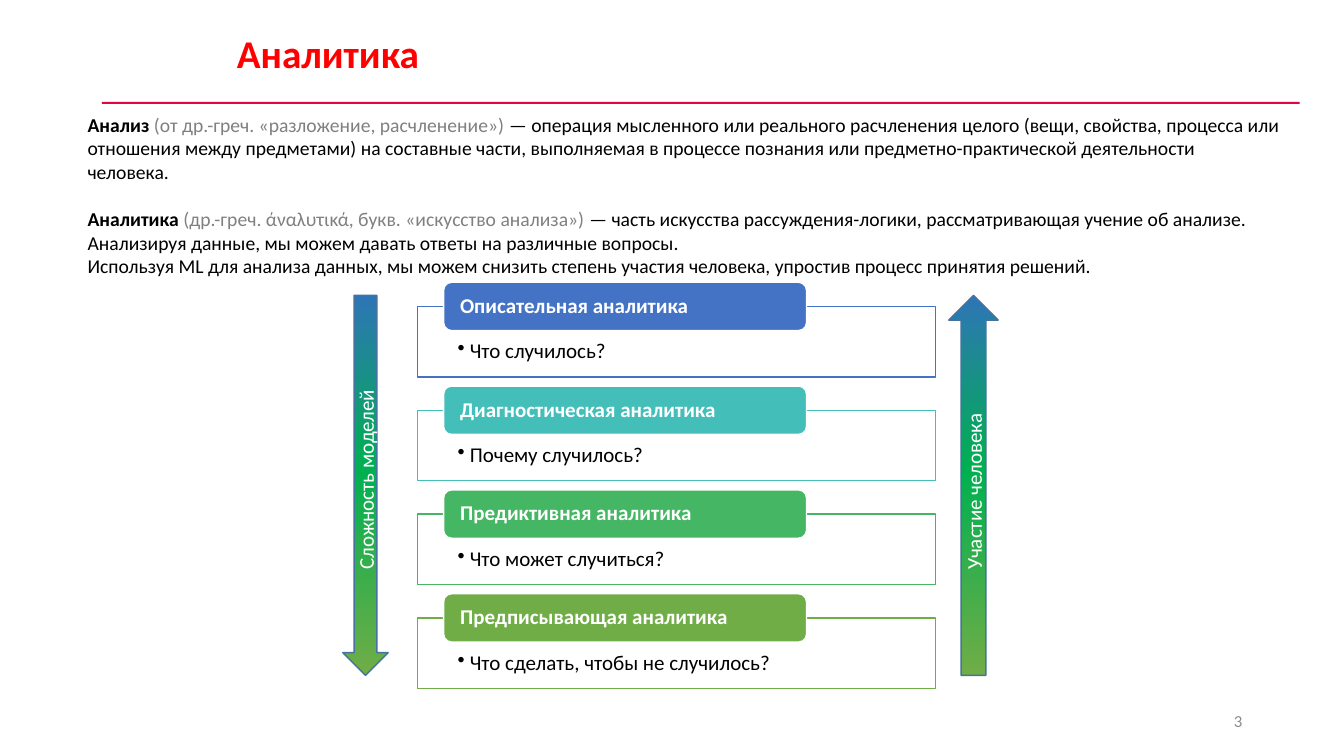
from dataclasses import dataclass
from typing import Any, NamedTuple

from lxml import etree
from pptx import Presentation
from pptx.dml.color import RGBColor
from pptx.enum.shapes import MSO_SHAPE
from pptx.enum.text import MSO_ANCHOR, MSO_AUTO_SIZE, PP_ALIGN
from pptx.oxml.ns import qn
from pptx.util import Inches, Pt

RECTANGLE, ROUNDED = MSO_SHAPE.RECTANGLE, MSO_SHAPE.ROUNDED_RECTANGLE
DOWN_ARROW = MSO_SHAPE.DOWN_ARROW
TOP, MIDDLE = MSO_ANCHOR.TOP, MSO_ANCHOR.MIDDLE
LEFT, CENTER, RIGHT = PP_ALIGN.LEFT, PP_ALIGN.CENTER, PP_ALIGN.RIGHT
GROW, FIXED = MSO_AUTO_SIZE.SHAPE_TO_FIT_TEXT, MSO_AUTO_SIZE.NONE


@dataclass(frozen=True)
class Theme:
    font: str = "Calibri"
    title: str = "FF0000"
    rule: str = "E20443"
    text: str = "000000"
    muted: str = "808080"
    number: str = "8C8C8C"
    white: str = "FFFFFF"
    arrow_line: str = "43739E"
    gradient: tuple = ((0, "2E75B6"), (46, "00B050"), (100, "70AD47"))
    title_size: int = 28
    label_size: int = 15
    body_size: int = 14
    number_size: int = 12


class Box(NamedTuple):
    left: float
    top: float
    width: float
    height: float


class Run(NamedTuple):
    text: str
    color: str
    bold: bool = False


class Stage(NamedTuple):
    name: str
    question: str
    color: str


class Arrow(NamedTuple):
    text: str
    box: Box
    rotation: int
    text_direction: str
    gradient_angle: int


THEME = Theme()
STAGES = (
    Stage("Описательная аналитика", "Что случилось?", "4472C4"),
    Stage("Диагностическая аналитика", "Почему случилось?", "43BEB9"),
    Stage("Предиктивная аналитика", "Что может случиться?", "45B664"),
    Stage("Предписывающая аналитика", "Что сделать, чтобы не случилось?", "70AD47"),
)
STAGE_TOP, STAGE_STEP = 2.8, 1.03
ARROWS = (
    Arrow("Сложность моделей", Box(3.4, 2.93, 0.45, 3.77), 0, "vert270", 90),
    Arrow("Участие человека", Box(9.41, 2.93, 0.49, 3.77), 180, "vert", 270),
)
DEFINITIONS = (
    (
        Run("Анализ ", THEME.text, True),
        Run("(от др.-греч. «разложение, расчленение») ", THEME.muted),
        Run("— операция мысленного или реального расчленения целого (вещи, свойства, "
            "процесса или отношения между предметами) на составные части, выполняемая "
            "в процессе познания или предметно-практической деятельности человека.", THEME.text),
    ),
    (
        Run("Аналитика ", THEME.text, True),
        Run("(др.-греч. άναλυτικά, букв. «искусство анализа») ", THEME.muted),
        Run("— часть искусства рассуждения-логики, рассматривающая учение об анализе.", THEME.text),
    ),
    (Run("Анализируя данные, мы можем давать ответы на различные вопросы.", THEME.text),),
    (Run("Используя ML для анализа данных, мы можем снизить степень участия человека, "
         "упростив процесс принятия решений.", THEME.text),),
)


def apply(target: Any, values: dict[str, Any]) -> None:
    for name, value in values.items():
        setattr(target, name, value)


def place(shape: Any, box: Box) -> None:
    apply(shape, {name: Inches(value) for name, value in box._asdict().items()})


def write(shape: Any, paragraphs: tuple, size: int, align: Any = LEFT,
          anchor: Any = TOP, fit: Any = FIXED, insets: tuple = (0.1, 0.05, 0.1, 0.05),
          spacing: float = 1.0) -> None:
    frame = shape.text_frame
    sides = ("margin_left", "margin_top", "margin_right", "margin_bottom")
    apply(frame, {"word_wrap": True, "auto_size": fit, "vertical_anchor": anchor})
    apply(frame, dict(zip(sides, map(Inches, insets))))
    for index, runs in enumerate(paragraphs):
        paragraph = frame.add_paragraph() if index else frame.paragraphs[0]
        apply(paragraph, {"alignment": align, "line_spacing": spacing,
                          "space_before": Pt(0), "space_after": Pt(0)})
        for item in runs:
            run = paragraph.add_run()
            run.text = item.text
            apply(run.font, {"name": THEME.font, "size": Pt(size), "bold": item.bold})
            run.font.color.rgb = RGBColor.from_string(item.color)


def add_text(slide: Any, box: Box) -> Any:
    return slide.shapes.add_textbox(*map(Inches, box))


def add_shape(slide: Any, kind: Any, box: Box, fill: str, line: str | None = None) -> Any:
    shape = slide.shapes.add_shape(kind, *map(Inches, box))
    shape.shadow.inherit = False
    shape.fill.solid()
    shape.fill.fore_color.rgb = RGBColor.from_string(fill)
    if line:
        shape.line.color.rgb = RGBColor.from_string(line)
        shape.line.width = Pt(1)
    else:
        shape.line.fill.background()
    return shape


def add_bullet(paragraph: Any) -> None:
    properties = paragraph._p.get_or_add_pPr()
    properties.set("marL", str(Inches(0.12)))
    properties.set("indent", str(-Inches(0.12)))
    etree.SubElement(properties, qn("a:buChar")).set("char", "•")


def set_gradient(shape: Any, angle: int) -> None:
    shape.fill.gradient()
    gradient = shape._element.spPr.find(qn("a:gradFill"))
    gradient.set("rotWithShape", "1")
    for child in list(gradient):
        gradient.remove(child)
    stops = etree.SubElement(gradient, qn("a:gsLst"))
    for position, color in THEME.gradient:
        stop = etree.SubElement(stops, qn("a:gs"), pos=str(position * 1000))
        etree.SubElement(stop, qn("a:srgbClr"), val=color)
    etree.SubElement(gradient, qn("a:lin"), ang=str(angle * 60000), scaled="0")


def add_stage(slide: Any, stage: Stage, top: float) -> None:
    frame = add_shape(slide, RECTANGLE, Box(4.14, top + 0.24, 5.14, 0.7), THEME.white, stage.color)
    white = frame._element.spPr.find(qn("a:solidFill"))[0]
    etree.SubElement(white, qn("a:alpha"), val="90000")
    write(frame, ((Run(stage.question, THEME.text),),), THEME.label_size,
          insets=(0.4, 0.34, 0.4, 0.12), spacing=0.9)
    add_bullet(frame.text_frame.paragraphs[0])
    header = add_shape(slide, ROUNDED, Box(4.4, top, 3.6, 0.48), stage.color, THEME.white)
    write(header, ((Run(stage.name, THEME.white, True),),), THEME.label_size,
          anchor=MIDDLE, insets=(0.14, 0, 0.14, 0), spacing=0.9)


def add_arrow(slide: Any, arrow: Arrow) -> None:
    shape = add_shape(slide, DOWN_ARROW, arrow.box, THEME.white, THEME.arrow_line)
    shape.rotation = arrow.rotation
    set_gradient(shape, arrow.gradient_angle)
    write(shape, ((Run(arrow.text, THEME.white),),), THEME.label_size, CENTER, MIDDLE)
    shape.text_frame._txBody.bodyPr.set("vert", arrow.text_direction)


def main() -> None:
    presentation = Presentation()
    apply(presentation, {"slide_width": Inches(13.33), "slide_height": Inches(7.5)})
    slide = presentation.slides.add_slide(presentation.slide_layouts[5])
    add_shape(slide, RECTANGLE, Box(1.01, 1.01, 11.88, 0.02), THEME.rule)
    title = slide.shapes.title
    place(title, Box(2.25, 0.24, 10.71, 0.57))
    write(title, ((Run("Аналитика", THEME.title, True),),), THEME.title_size, fit=GROW)
    number = add_text(slide, Box(9.42, 6.95, 3, 0.4))
    write(number, ((Run("3", THEME.number),),), THEME.number_size, RIGHT, MIDDLE)
    for index, stage in enumerate(STAGES):
        add_stage(slide, stage, STAGE_TOP + index * STAGE_STEP)
    for arrow in ARROWS:
        add_arrow(slide, arrow)
    body = add_text(slide, Box(0.77, 1.07, 12.04, 1.51))
    write(body, DEFINITIONS, THEME.body_size, fit=GROW)
    body.text_frame.paragraphs[0].space_after = Pt(17)
    presentation.save("out.pptx")


if __name__ == "__main__":
    main()
